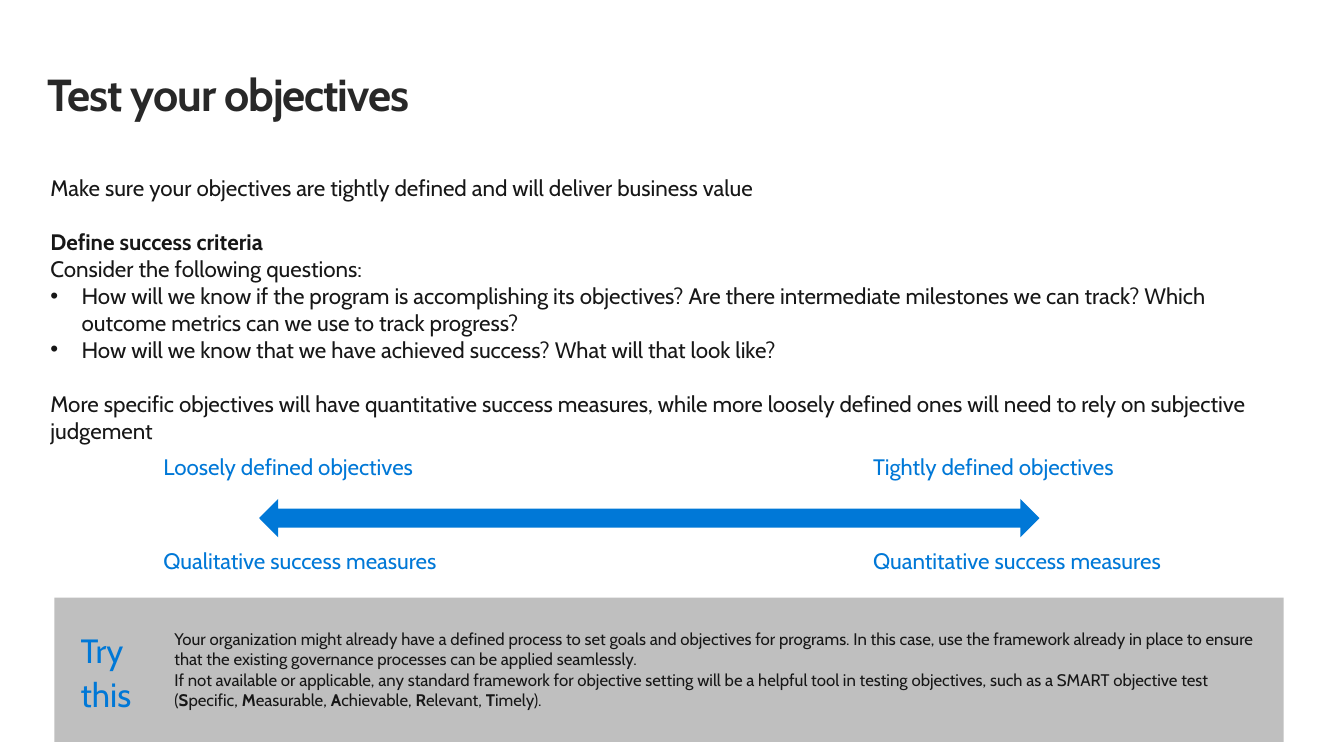
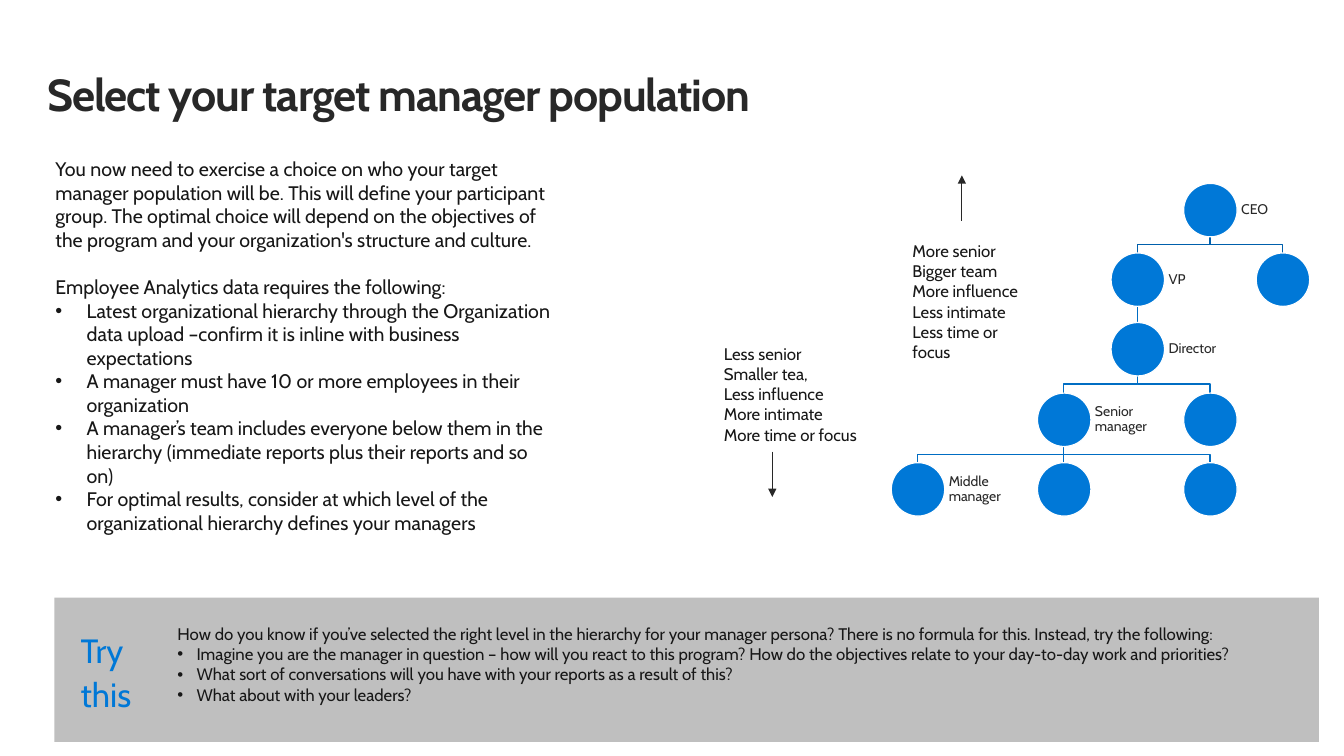
import dataclasses

import lxml.etree
import pptx
import pptx.dml.color
import pptx.enum.shapes
import pptx.enum.text
import pptx.oxml.ns
import pptx.util

PX = 9144
FONT = "Cabin"
COLORS = {
    "title": "282828",
    "body": "171717",
    "accent": "0078D7",
    "panel": "BFBFBF",
    "white": "FFFFFF",
    "link_top": "0060AC",
    "link": "006DC3",
}
SHAPES = pptx.enum.shapes.MSO_SHAPE


@dataclasses.dataclass
class Para:
    """A paragraph: (text, bold) runs, bullet indent in px, space before in points."""
    runs: list
    indent: int = 0
    before: float = 0


def para(text, bold=False, indent=0, before=0):
    """Make a paragraph of a single run."""
    return Para([(text, bold)], indent, before)


def emu(px):
    """Turn px into EMU."""
    return pptx.util.Emu(round(px) * PX)


def rgb(name):
    """Look up a named colour."""
    return pptx.dml.color.RGBColor.from_string(COLORS[name])


def sub(parent, tag, **attrs):
    """Append a DrawingML element."""
    return lxml.etree.SubElement(parent, pptx.oxml.ns.qn(tag), attrs)


class Deck:
    """Holds the style and the current slide."""

    def __init__(self):
        """Start a presentation."""
        self.prs = pptx.Presentation()
        self.prs.slide_width, self.prs.slide_height = emu(1333), emu(750)
        self.shapes = None

    def slide(self, title):
        """Add a slide with its title."""
        self.shapes = self.prs.slides.add_slide(self.prs.slide_layouts[6]).shapes
        tf = self.text((46, 65, 804, 55), [para(title, True, before=1.1)],
                       32, "title", inset=(1, 1))
        tf.paragraphs[0].runs[0].font._element.set("spc", "-80")

    def text(self, box, paras, size, color="body", inset=(20, 16),
             spacing=None, after=0, middle=False):
        """Add a text box and return its text frame."""
        tf = self.shapes.add_textbox(*map(emu, box)).text_frame
        tf.word_wrap = True
        tf.margin_left = tf.margin_right = emu(inset[0])
        tf.margin_top = tf.margin_bottom = emu(inset[1])
        if middle:
            tf.vertical_anchor = pptx.enum.text.MSO_ANCHOR.MIDDLE
        for i, item in enumerate(paras):
            p = tf.add_paragraph() if i else tf.paragraphs[0]
            p.space_before = pptx.util.Pt(item.before)
            p.space_after = pptx.util.Pt(after)
            if spacing:
                p.line_spacing = spacing
            if item.indent:
                self.bullet(p, item.indent)
            for text, bold in item.runs:
                r = p.add_run()
                r.text = text
                r.font.name = FONT
                r.font.size = pptx.util.Pt(size)
                r.font.bold = bold
                r.font.color.rgb = rgb(color)
        return tf

    def bullet(self, p, indent):
        """Give a paragraph a hanging bullet."""
        pPr = p._p.get_or_add_pPr()
        pPr.set("marL", str(emu(indent)))
        pPr.set("indent", str(-emu(indent)))
        sub(pPr, "a:buFont", typeface="Arial")
        sub(pPr, "a:buChar", char="•")

    def label(self, box, text):
        """Add an accent-coloured label."""
        self.text(box, [para(text)], 16, "accent", spacing=0.9, after=6)

    def shape(self, kind, box, fill, line=None):
        """Add a filled preset shape."""
        sp = self.shapes.add_shape(kind, *map(emu, box))
        sp.shadow.inherit = False
        sp.fill.solid()
        sp.fill.fore_color.rgb = rgb(fill)
        if line:
            self.stroke(sp, line, 0.85)
        else:
            sp.line.fill.background()

    def stroke(self, sp, color, width):
        """Set the line colour and width."""
        sp.line.color.rgb = rgb(color)
        sp.line.width = pptx.util.Pt(width)

    def line(self, x, y1, y2, color, width, arrow=False):
        """Add a vertical line, optionally with an arrowhead at its end."""
        sp = self.shapes.add_connector(
            pptx.enum.shapes.MSO_CONNECTOR.STRAIGHT, *map(emu, (x, y1, x, y2)))
        self.stroke(sp, color, width)
        if arrow:
            sub(sp.line._get_or_add_ln(), "a:tailEnd", type="triangle")
        sub(sp._element.spPr, "a:effectLst")

    def elbow(self, start, end, color):
        """Add a stepped link between two points."""
        (x1, y1), (x2, y2) = start, end
        if x1 == x2:
            self.line(x1, y1, y2, color, 0.85)
            return
        mid = (y1 + y2) // 2
        builder = self.shapes.build_freeform(x1, y1, scale=PX)
        builder.add_line_segments([(x1, mid), (x2, mid), end], close=False)
        sp = builder.convert_to_shape()
        sp.shadow.inherit = False
        sp.fill.background()
        self.stroke(sp, color, 0.85)

    def try_this(self, width, box, paras):
        """Add the bottom panel with its advice."""
        self.shape(SHAPES.RECTANGLE, (54, 593, width, 143), "panel")
        self.text(box, paras, 12)
        self.text((60, 613, 96, 113), [para("Try"), para("this")],
                  24, "accent", spacing=0.9, after=6)

    def org_chart(self, nodes):
        """Draw (column, row, label, parent index) nodes and their links."""
        size = 53
        spots = [(round(910 + 72.5 * col), round(182 + 69.25 * row))
                 for col, row, _, _ in nodes]
        for (x, y), (_, row, _, parent) in zip(spots, nodes):
            if parent is not None:
                px, py = spots[parent]
                self.elbow((px, py + size), (x, y), "link_top" if row == 1 else "link")
        for (x, y), (_, _, name, _) in zip(spots, nodes):
            left = x - size // 2
            self.shape(SHAPES.OVAL, (left, y, size, size), "accent", "white")
            if name:
                self.text((left + size, y, 79, size), [para(name)], 10, "title",
                          inset=(4, 4), spacing=0.9, middle=True)


def objectives(deck):
    """Build the slide on testing objectives."""
    deck.slide("Test your objectives")
    gap = 19.4
    deck.text((30, 157, 1274, 302), [
        para("Make sure your objectives are tightly defined and will deliver business value"),
        para("Define success criteria", True, before=gap),
        para("Consider the following questions:"),
        para("How will we know if the program is accomplishing its objectives? "
             "Are there intermediate milestones we can track? "
             "Which outcome metrics can we use to track progress?", indent=31),
        para("How will we know that we have achieved success? What will that look like?",
             indent=31),
        para("More specific objectives will have quantitative success measures, while more "
             "loosely defined ones will need to rely on subjective judgement", before=gap),
    ], 16)
    smart = [("If not available or applicable, any standard framework for objective setting "
              "will be a helpful tool in testing objectives, such as a SMART objective test (",
              False)]
    for initial, rest in (("S", "pecific, "), ("M", "easurable, "), ("A", "chievable, "),
                          ("R", "elevant, "), ("T", "imely).")):
        smart += [(initial, True), (rest, False)]
    deck.try_this(1219, (153, 608, 1120, 113), [
        para("Your organization might already have a defined process to set goals and "
             "objectives for programs. In this case, use the framework already in place to "
             "ensure that the existing governance processes can be applied seamlessly."),
        Para(smart),
    ])
    deck.shape(SHAPES.LEFT_RIGHT_ARROW, (257, 495, 774, 38), "accent")
    for x, kind, measure in ((142, "Loosely", "Qualitative"), (846, "Tightly", "Quantitative")):
        deck.label((x, 441, 345, 57), f"{kind} defined objectives")
        deck.label((x, 534, 345, 57), f"{measure} success measures")


def population(deck):
    """Build the slide on choosing managers."""
    deck.slide("Select your target manager population")
    requirements = (
        "Latest organizational hierarchy through the Organization data upload "
        "–confirm it is inline with business expectations",
        "A manager must have 10 or more employees in their organization",
        "A manager’s team includes everyone below them in the hierarchy "
        "(immediate reports plus their reports and so on)",
        "For optimal results, consider at which level of the organizational "
        "hierarchy defines your managers",
    )
    deck.text((35, 140, 532, 433), [
        para("You now need to exercise a choice on who your target manager population will be. "
             "This will define your participant group. The optimal choice will depend on the "
             "objectives of the program and your organization's structure and culture."),
        para("Employee Analytics data requires the following:", before=17),
        *(para(text, indent=31) for text in requirements),
    ], 14)
    questions = (
        "Imagine you are the manager in question – how will you react to this program? "
        "How do the objectives relate to your day-to-day work and priorities?",
        "What sort of conversations will you have with your reports as a result of this?",
        "What about with your leaders?",
    )
    deck.try_this(1254, (156, 603, 1152, 153), [
        para("How do you know if you’ve selected the right level in the hierarchy for your "
             "manager persona? There is no formula for this. Instead, try the following:"),
        *(para(text, indent=19) for text in questions),
    ])
    deck.org_chart([
        (4, 0, "CEO", None),
        (3, 1, "VP", 0),
        (5, 1, "", 0),
        (3, 2, "Director", 1),
        (2, 3, "Senior manager", 3),
        (4, 3, "", 3),
        (0, 4, "Middle manager", 4),
        (2, 4, "", 4),
        (4, 4, "", 4),
    ])
    senior = ("More senior", "Bigger team", "More influence", "Less intimate",
              "Less time or focus")
    junior = ("Less senior", "Smaller tea,", "Less influence", "More intimate",
              "More time or focus")
    deck.text((885, 223, 165, 153), [para(text) for text in senior], 12)
    deck.text((698, 325, 186, 133), [para(text) for text in junior], 12)
    deck.line(954, 219, 174, "title", 0.75, arrow=True)
    deck.line(766, 448, 493, "title", 0.75, arrow=True)


def main():
    """Build and save the presentation."""
    deck = Deck()
    objectives(deck)
    population(deck)
    deck.prs.save("out.pptx")


if __name__ == "__main__":
    main()
